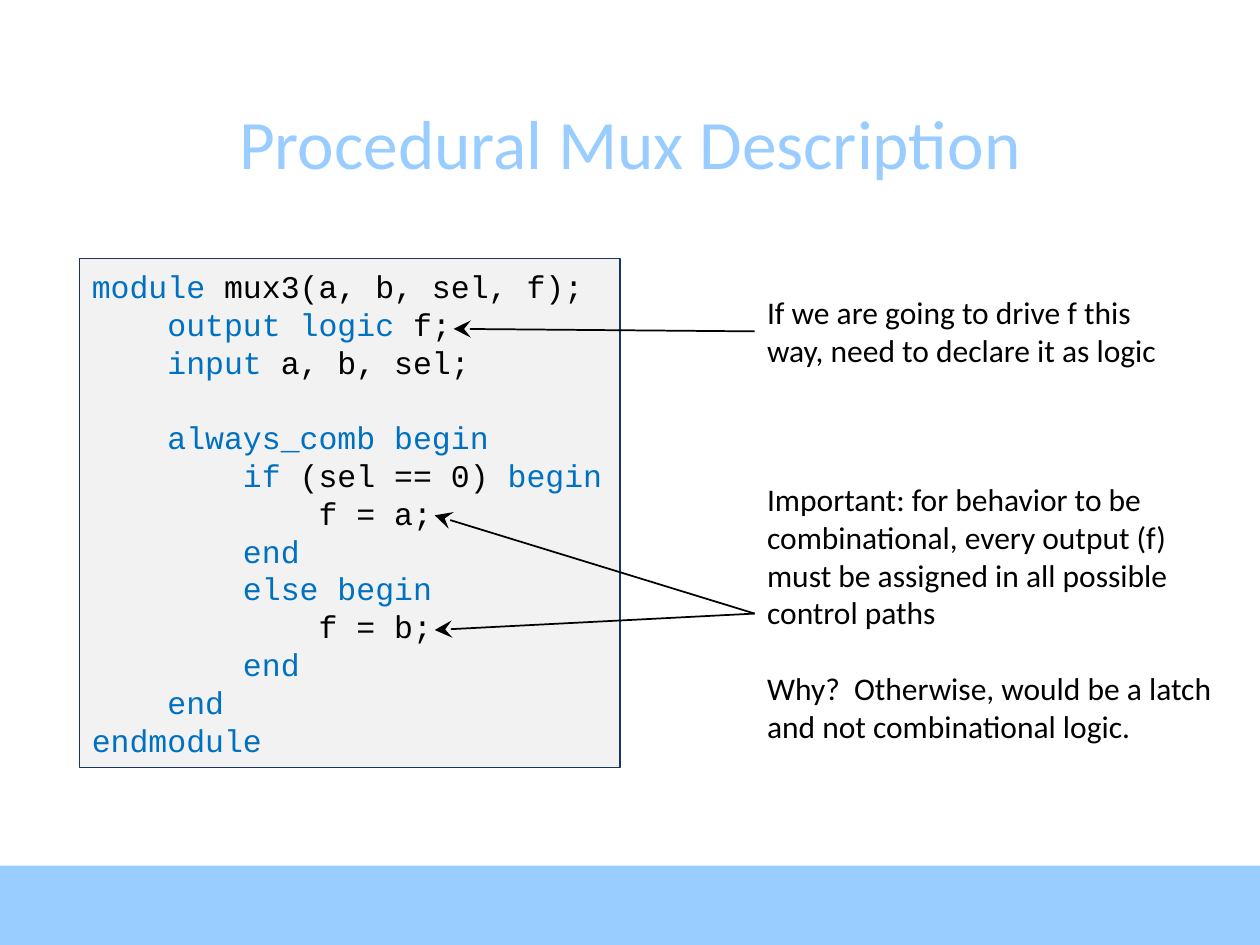
from dataclasses import dataclass

from lxml import etree
from pptx import Presentation
from pptx.dml.color import RGBColor
from pptx.enum.shapes import MSO_CONNECTOR as CONN, MSO_SHAPE as SHAPE
from pptx.enum.text import MSO_ANCHOR as ANCHOR, PP_ALIGN as ALIGN
from pptx.oxml.ns import qn
from pptx.util import Inches, Pt


@dataclass(frozen=True)
class Theme:
    """Colours, fonts and type sizes."""
    accent: str = "99CCFF"
    keyword: str = "0070C0"
    ink: str = "000000"
    panel: str = "F2F2F2"
    border: str = "17375E"
    sans: str = "Calibri"
    mono: str = "Courier New"
    title: float = 39.6
    body: float = 18
    leading: float = 21.6


T = Theme()
INDENT = 0.6  # four monospaced characters at body size

# Each code line: indent level, blank lines before, runs of (text, is keyword)
CODE = [
    (0, 0, [("module", True), (" mux3(a, b, sel, f);", False)]),
    (1, 0, [("output logic", True), (" f;", False)]),
    (1, 0, [("input", True), (" a, b, sel;", False)]),
    (1, 1, [("always_comb begin", True)]),
    (2, 0, [("if", True), (" (sel == 0) ", False), ("begin", True)]),
    (3, 0, [("f = a;", False)]),
    (2, 0, [("end", True)]),
    (2, 0, [("else begin", True)]),
    (3, 0, [("f = b;", False)]),
    (2, 0, [("end", True)]),
    (1, 0, [("end", True)]),
    (0, 0, [("endmodule", True)]),
]
DECLARE_NOTE = ["If we are going to drive f this way, need to declare it as logic"]
PATHS_NOTE = [
    "Important: for behavior to be combinational, every output (f) "
    "must be assigned in all possible control paths",
    "Why?  Otherwise, would be a latch and not combinational logic.",
]
ARROWS = [  # tip, tail
    ((3.45, 4.09), (5.99, 4.87)),
    ((3.45, 5.0), (5.99, 4.87)),
    ((3.6, 2.61), (5.99, 2.63)),
]


def rgb(color):
    """Turn a hex string into a colour."""
    return RGBColor.from_string(color)


def write(p, text, *, size=T.body, font=T.sans, color=T.ink):
    """Add one formatted run to a paragraph."""
    r = p.add_run()
    r.text = text
    r.font.size, r.font.name = Pt(size), font
    r.font.color.rgb = rgb(color)


def add_para(tf, first, *, blank_before=0, level=0):
    """Return a left-aligned paragraph with the body line pitch."""
    p = tf.paragraphs[0] if first else tf.add_paragraph()
    p.alignment = ALIGN.LEFT
    p.line_spacing = Pt(T.leading)
    p.space_before = Pt(T.leading * blank_before)
    if level:
        p._p.get_or_add_pPr().set("marL", str(Inches(INDENT * level)))
    return p


def add_rect(s, box, fill, line=None):
    """Add a flat rectangle with an optional outline."""
    sp = s.shapes.add_shape(SHAPE.RECTANGLE, *map(Inches, box))
    sp.shadow.inherit = False
    sp.fill.solid()
    sp.fill.fore_color.rgb = rgb(fill)
    if line:
        sp.line.color.rgb = rgb(line)
        sp.line.width = Pt(0.75)
    else:
        sp.line.fill.background()
    return sp


def add_textbox(s, box):
    """Add a wrapping text box and return its text frame."""
    tf = s.shapes.add_textbox(*map(Inches, box)).text_frame
    tf.word_wrap = True
    return tf


def add_title(s, text, box):
    """Add the centred slide title."""
    tf = add_textbox(s, box)
    tf.vertical_anchor = ANCHOR.MIDDLE
    p = tf.paragraphs[0]
    p.alignment = ALIGN.CENTER
    write(p, text, size=T.title, color=T.accent)


def add_code(s, lines, box):
    """Add the code panel with coloured keywords."""
    tf = add_rect(s, box, T.panel, T.border).text_frame
    tf.word_wrap = False
    tf.vertical_anchor = ANCHOR.MIDDLE
    for i, (level, blank, runs) in enumerate(lines):
        p = add_para(tf, i == 0, blank_before=blank, level=level)
        for text, is_keyword in runs:
            write(p, text, font=T.mono,
                  color=T.keyword if is_keyword else T.ink)


def add_note(s, paras, box):
    """Add an explanatory note, one blank line between paragraphs."""
    tf = add_textbox(s, box)
    for i, text in enumerate(paras):
        write(add_para(tf, i == 0, blank_before=min(i, 1)), text)


def add_arrow(s, tip, tail):
    """Add a thin line with a stealth arrowhead at its tip."""
    c = s.shapes.add_connector(CONN.STRAIGHT, *map(Inches, tip + tail))
    c.line.color.rgb = rgb(T.ink)
    c.line.width = Pt(1)
    etree.SubElement(c.line._get_or_add_ln(), qn("a:headEnd"), type="stealth",
                     w="lg", len="lg")
    etree.SubElement(c._element.spPr, qn("a:effectLst"))


def main():
    """Build and save the slide."""
    prs = Presentation()
    prs.slide_width, prs.slide_height = Inches(10), Inches(7.5)
    s = prs.slides.add_slide(prs.slide_layouts[6])
    add_rect(s, (0, 6.87, 10, 0.63), T.accent)
    add_title(s, "Procedural Mux Description", (0.69, 0.74, 8.62, 0.77))
    add_code(s, CODE, (0.63, 2.05, 4.29, 4.04))
    add_note(s, PATHS_NOTE, (5.99, 3.76, 3.74, 2.22))
    add_note(s, DECLARE_NOTE, (5.99, 2.28, 3.36, 0.71))
    for tip, tail in ARROWS:
        add_arrow(s, tip, tail)
    prs.save("out.pptx")


main()
